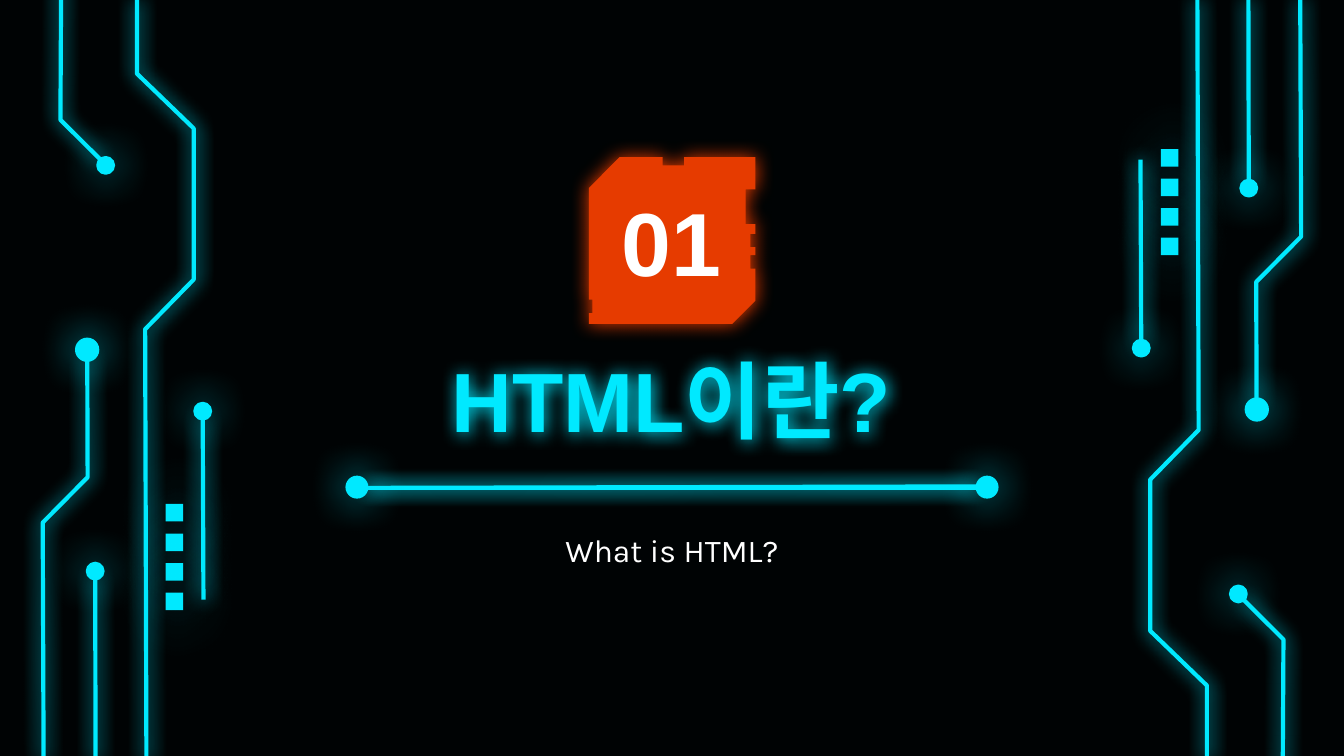
"""Build a neon circuit section slide that introduces HTML."""
import lxml.etree
import pptx
import pptx.dml.color
import pptx.enum.shapes
import pptx.enum.text
import pptx.oxml.ns
import pptx.util

Pt = pptx.util.Pt
RGBColor = pptx.dml.color.RGBColor
MSO_SHAPE = pptx.enum.shapes.MSO_SHAPE
MSO_ANCHOR = pptx.enum.text.MSO_ANCHOR
qn = pptx.oxml.ns.qn

CYAN = RGBColor(0x00, 0xE9, 0xFF)
ORANGE = RGBColor(0xE6, 0x3B, 0x00)
WHITE = RGBColor(0xFF, 0xFF, 0xFF)
NIGHT = RGBColor(0x00, 0x03, 0x04)

WIDTH, HEIGHT = 720, 405
MIRROR_HEIGHT = 406.8

TITLE = ("HTML이란?", (173.5, 187.2, 372.2, 53.3), "Arial", 45, CYAN, True, MSO_ANCHOR.MIDDLE)
NUMBER = ("01", (173.5, 96.5, 372.2, 64.8), "Arial", 48, WHITE, True, MSO_ANCHOR.MIDDLE)
SUBTITLE = ("What is HTML?", (247, 277.2, 226, 54.7), "Karla", 17, WHITE, False, MSO_ANCHOR.TOP)

TRACKS = [
    [(78.5, 407.5), (77.8, 176.4), (103.8, 149.8), (103.8, 68.8), (73.4, 39.5), (73.4, 0)],
    [(51.2, 407.5), (51, 308.9)],
    [(32.8, -12.2), (32.4, 64.2), (54, 85.7)],
    [(23.4, 407.5), (22.9, 280), (47, 255.7), (46.8, 191.5)],
    [(109, 321.2), (108.6, 223.2)],
]
NODES = [(46.7, 187.4, 11.5), (56.6, 88.6, 8.6), (108.6, 220.3, 8.6), (51, 306, 8.6)]
SQUARE_LEFT, SQUARE_TOP, SQUARE_SIZE, SQUARE_STEP, SQUARE_COUNT = 88.7, 270, 9.4, 15.84, 4

BADGE = [
    (331.9, 84.2), (315.4, 100.8), (315.4, 160.6), (317.4, 160.6), (317.4, 167.8),
    (315.4, 167.8), (315.4, 173.5), (392.4, 173.5), (404.6, 161.3), (404.6, 144),
    (402, 144), (402, 136.8), (404.6, 136.8), (404.6, 132.5), (402, 132.5),
    (402, 125.3), (404.6, 125.3), (404.6, 120.2), (399.4, 120.2), (399.4, 101.5),
    (404.6, 101.5), (404.6, 84.2), (366.5, 84.2), (366.5, 88.6), (355, 88.6), (355, 84.2),
]
RULE_ENDS = [(191.2, 261), (528.8, 261)]
RULE_NODE = 10.8


def add_glow(shape, color, blur, opacity=100, distance=0):
    effects = lxml.etree.SubElement(shape._element.spPr, qn("a:effectLst"))
    shadow = lxml.etree.SubElement(
        effects, qn("a:outerShdw"), blurRad=str(Pt(blur)), dist=str(Pt(distance)),
        dir="0", algn="bl", rotWithShape="0")
    tint = lxml.etree.SubElement(shadow, qn("a:srgbClr"), val=str(color))
    lxml.etree.SubElement(tint, qn("a:alpha"), val=str(opacity * 1000))


def paint(shape, color):
    shape.fill.solid()
    shape.fill.fore_color.rgb = color
    shape.line.fill.background()


def add_outline(shapes, points, closed):
    corners = [(Pt(x), Pt(y)) for x, y in points]
    builder = shapes.build_freeform(*corners[0])
    builder.add_line_segments(corners[1:], close=closed)
    return builder.convert_to_shape()


def add_track(shapes, points):
    if len(points) == 2:
        ends = [Pt(value) for point in points for value in point]
        track = shapes.add_connector(pptx.enum.shapes.MSO_CONNECTOR.STRAIGHT, *ends)
    else:
        track = add_outline(shapes, points, closed=False)
        track.fill.background()
    track.line.color.rgb = CYAN
    track.line.width = Pt(2.25)
    add_glow(track, CYAN, 10.1)


def add_centered(shapes, kind, x, y, size):
    shape = shapes.add_shape(kind, Pt(x - size / 2), Pt(y - size / 2), Pt(size), Pt(size))
    paint(shape, CYAN)
    return shape


def add_node(shapes, x, y, size):
    node = add_centered(shapes, MSO_SHAPE.OVAL, x, y, size)
    node.line.color.rgb = CYAN
    node.line.width = Pt(1.5)
    add_glow(node, CYAN, 22.5)


def add_circuit(shapes, place):
    for points in TRACKS:
        add_track(shapes, [place(x, y) for x, y in points])
    for x, y, size in NODES:
        add_node(shapes, *place(x, y), size)
    for index in range(SQUARE_COUNT):
        middle = SQUARE_SIZE / 2
        center = place(SQUARE_LEFT + middle, SQUARE_TOP + index * SQUARE_STEP + middle)
        square = add_centered(shapes, MSO_SHAPE.RECTANGLE, *center, SQUARE_SIZE)
        add_glow(square, CYAN, 36, opacity=70, distance=1.5)


def set_text(shape, text, box, font, size, color, bold, anchor):
    shape.left, shape.top, shape.width, shape.height = [Pt(value) for value in box]
    frame = shape.text_frame
    frame.text = text
    frame.word_wrap = True
    frame.auto_size = pptx.enum.text.MSO_AUTO_SIZE.NONE
    frame.vertical_anchor = anchor
    frame.margin_left = frame.margin_right = frame.margin_top = frame.margin_bottom = Pt(7.2)
    paragraph = frame.paragraphs[0]
    paragraph.alignment = pptx.enum.text.PP_ALIGN.CENTER
    for run in paragraph.runs:
        run.font.name = font
        run.font.size = Pt(size)
        run.font.bold = bold
        run.font.color.rgb = color


def main():
    presentation = pptx.Presentation()
    presentation.slide_width, presentation.slide_height = Pt(WIDTH), Pt(HEIGHT)
    slide = presentation.slides.add_slide(presentation.slide_layouts[5])
    slide.background.fill.solid()
    slide.background.fill.fore_color.rgb = NIGHT
    shapes = slide.shapes

    add_circuit(shapes, lambda x, y: (x, y))
    add_circuit(shapes, lambda x, y: (WIDTH - x, MIRROR_HEIGHT - y))

    badge = add_outline(shapes, BADGE, closed=True)
    paint(badge, ORANGE)
    add_glow(badge, ORANGE, 10.1)

    set_text(shapes.title, *TITLE)
    add_glow(shapes.title, CYAN, 10.1)
    for content in (SUBTITLE, NUMBER):
        set_text(shapes.add_textbox(0, 0, 0, 0), *content)

    (left, height), (right, _) = RULE_ENDS
    inset = RULE_NODE / 2
    for tilt in (-0.4, 0.4):
        add_track(shapes, [(left + inset, height + 0.4), (right - inset, height + tilt)])
    for x, y in RULE_ENDS:
        add_node(shapes, x, y, RULE_NODE)
    presentation.save("out.pptx")


if __name__ == "__main__":
    main()
